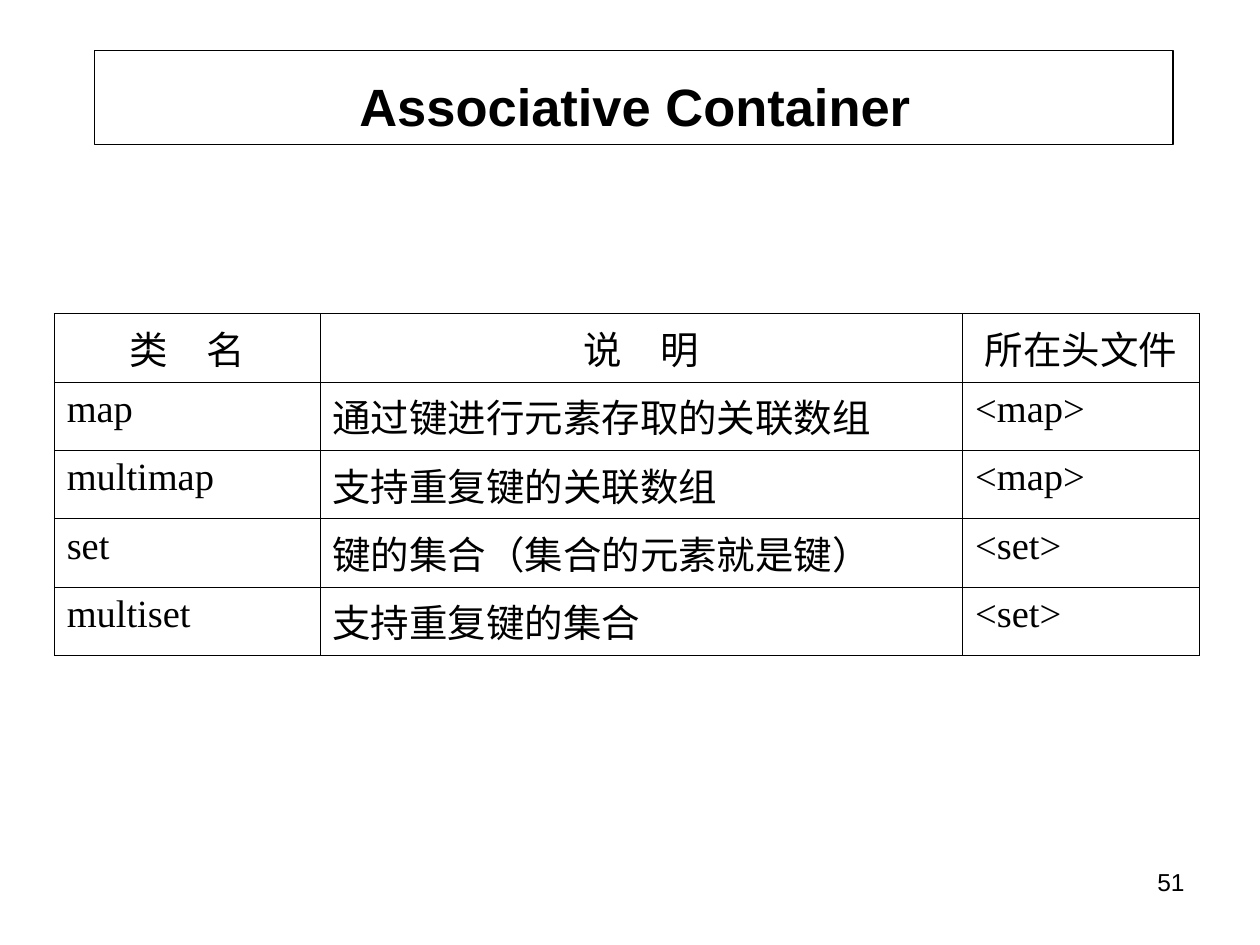
import dataclasses

import lxml.etree
import pptx
import pptx.dml.color
import pptx.enum.shapes
import pptx.enum.text
import pptx.oxml.ns
import pptx.util

Inches = pptx.util.Inches
Pt = pptx.util.Pt
qn = pptx.oxml.ns.qn
ALIGN = pptx.enum.text.PP_ALIGN

INK = {"black": "000000", "white": "FFFFFF"}


@dataclasses.dataclass
class Entry:
    name: str
    note: str
    header: str


@dataclasses.dataclass
class Style:
    font: str
    size: float
    align: ALIGN = ALIGN.LEFT
    bold: bool = False


HEAD = Entry("类　名", "说　明", "所在头文件")
ROWS = [
    Entry("map", "通过键进行元素存取的关联数组", "<map>"),
    Entry("multimap", "支持重复键的关联数组", "<map>"),
    Entry("set", "键的集合（集合的元素就是键）", "<set>"),
    Entry("multiset", "支持重复键的集合", "<set>"),
]
WIDTHS = [2.11, 5.1, 1.88]
ROW_H = 0.47


def color(key: str) -> pptx.dml.color.RGBColor:
    return pptx.dml.color.RGBColor.from_string(INK[key])


def write(frame, text: str, style: Style) -> None:
    frame.text = text
    para = frame.paragraphs[0]
    para.alignment = style.align
    font = para.runs[0].font
    font.name, font.size, font.bold = style.font, Pt(style.size), style.bold
    font.color.rgb = color("black")


def add_ink(parent, key: str) -> None:
    fill = lxml.etree.SubElement(parent, qn("a:solidFill"))
    lxml.etree.SubElement(fill, qn("a:srgbClr"), val=INK[key])


def add_panel(slide):
    panel = slide.shapes.add_shape(
        pptx.enum.shapes.MSO_SHAPE.RECTANGLE,
        Inches(0.75), Inches(0.4), Inches(8.56), Inches(0.75))
    panel.fill.solid()
    panel.fill.fore_color.rgb = color("white")
    panel.line.color.rgb = color("black")
    panel.line.width = Pt(0.75)
    # Hard offset shadow
    panel.shadow.inherit = False
    effects = panel.element.spPr.find(qn("a:effectLst"))
    shadow = lxml.etree.SubElement(
        effects, qn("a:outerShdw"), blurRad="0", dist=str(Pt(8.5)),
        dir="2700000", algn="ctr", rotWithShape="0")
    add_ink(shadow, "black")
    return panel


def add_title(slide, panel) -> None:
    title = slide.shapes.title
    title.left, title.top = Inches(0.75), Inches(0.52)
    title.width, title.height = Inches(8.58), Inches(0.63)
    write(title.text_frame, "Associative Container",
          Style("Arial", 30, ALIGN.CENTER, True))
    title.text_frame.auto_size = pptx.enum.text.MSO_AUTO_SIZE.NONE
    title.text_frame.vertical_anchor = pptx.enum.text.MSO_ANCHOR.MIDDLE
    title.element.addprevious(panel.element)


def rule_cell(cell, top: float, bottom: float) -> None:
    props = cell._tc.get_or_add_tcPr()
    sides = {"lnL": 0.34, "lnR": 0.34, "lnT": top, "lnB": bottom}
    for side, width in sides.items():
        line = lxml.etree.SubElement(props, qn(f"a:{side}"), w=str(Pt(width)))
        add_ink(line, "black")
    cell.fill.background()


def add_grid(slide) -> None:
    entries = [HEAD, *ROWS]
    table = slide.shapes.add_table(
        len(entries), len(WIDTHS), Inches(0.43), Inches(2.49),
        Inches(sum(WIDTHS)), Inches(ROW_H * len(entries))).table
    table.first_row = table.horz_banding = False
    for col, width in zip(table.columns, WIDTHS):
        col.width = Inches(width)
    last = len(entries) - 1
    for i, entry in enumerate(entries):
        table.rows[i].height = Inches(ROW_H)
        align = ALIGN.CENTER if entry is HEAD else ALIGN.LEFT
        for j, text in enumerate(dataclasses.astuple(entry)):
            cell = table.cell(i, j)
            write(cell.text_frame, text, Style("Times New Roman", 22, align))
            rule_cell(cell, 0.45 if i < 2 else 0.34,
                      0.45 if i in (0, last) else 0.34)


def add_number(slide) -> None:
    box = slide.shapes.add_textbox(
        Inches(7.17), Inches(6.83), Inches(2.33), Inches(0.52))
    box.text_frame.word_wrap = True
    write(box.text_frame, "51", Style("Arial", 14, ALIGN.RIGHT))


def main() -> None:
    deck = pptx.Presentation()
    deck.slide_width, deck.slide_height = Inches(10), Inches(7.5)
    slide = deck.slides.add_slide(deck.slide_layouts[5])
    # Title on its panel
    add_title(slide, add_panel(slide))
    # Container table and page number
    add_grid(slide)
    add_number(slide)
    deck.save("out.pptx")


if __name__ == "__main__":
    main()
